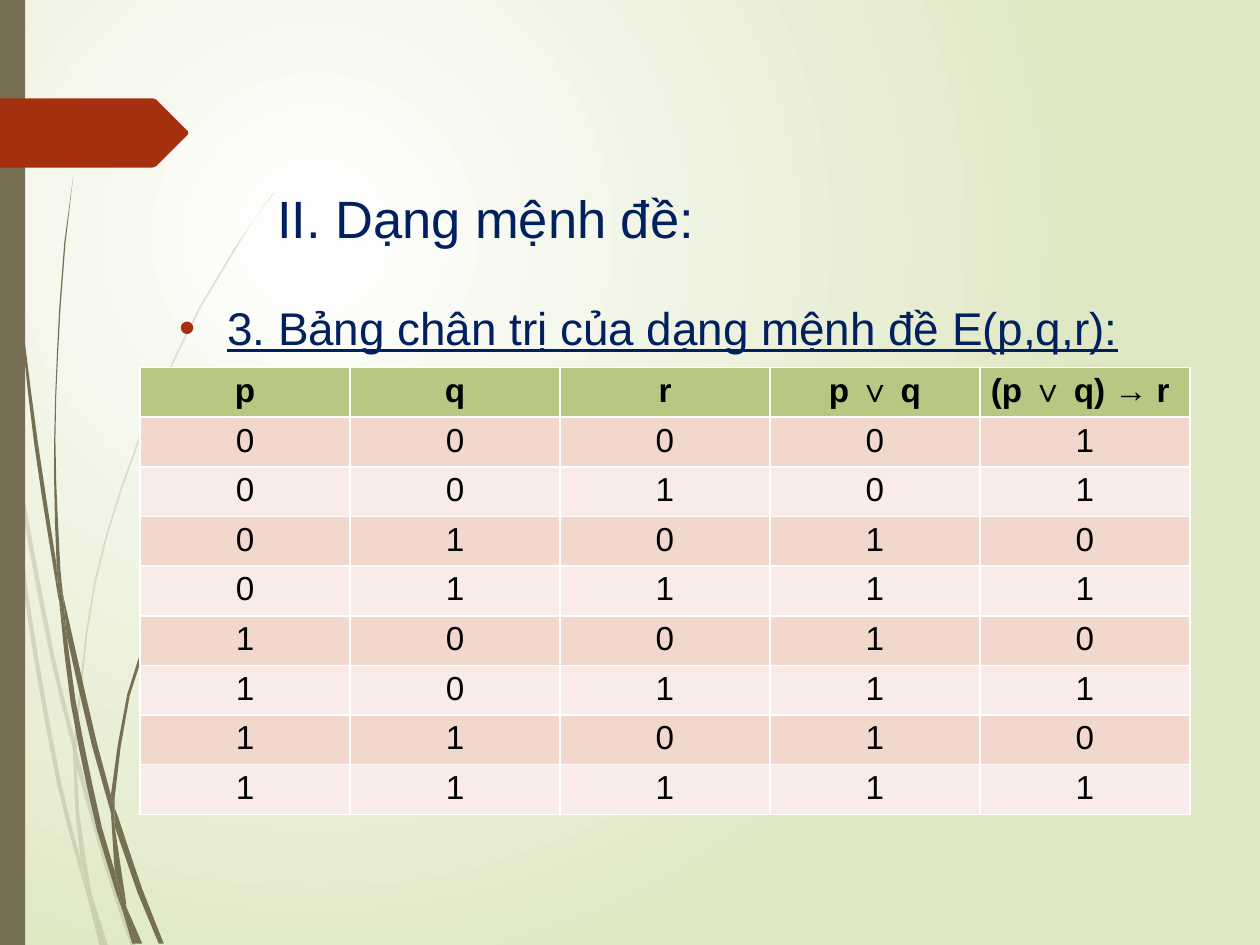
from dataclasses import dataclass
from itertools import product
from math import dist

from lxml.etree import SubElement
from pptx import Presentation
from pptx.dml.color import RGBColor as Rgb
from pptx.enum.text import MSO_ANCHOR as Anchor, PP_ALIGN as Align
from pptx.enum.shapes import MSO_SHAPE as Preset
from pptx.oxml.ns import qn
from pptx.util import Pt

Point = tuple[float, float]


@dataclass(frozen=True)
class Theme:
    font: str = "Arial"
    title_size: float = 30
    body_size: float = 26.2
    table_size: float = 19
    ink: str = "002060"
    black: str = "000000"
    white: str = "FFFFFF"
    background: str = "DFE8C4"
    stem: str = "766F54"
    accent: str = "A53010"
    header: str = "B6C882"
    bands: tuple[str, str] = ("F2D8CC", "F9ECE8")
    pale_alpha: int = 20


@dataclass(frozen=True)
class Box:
    left: float
    top: float
    width: float
    height: float

    def lengths(self) -> tuple:
        return Pt(self.left), Pt(self.top), Pt(self.width), Pt(self.height)


@dataclass(frozen=True)
class Blade:
    """A piece of grass: one edge there, the other edge back."""
    there: list[Point]
    back: list[Point]


THEME = Theme()
GRID = 0.72  # points per unit of the outline coordinates
STEP_LENGTH = 40  # outline units per straight piece of a curve
MOST_STEPS = 3

PALE_BLADES = [
    Blade([(8, 350), (6, 322), (0, 282)], [(0, 299), (7, 344)]),
    Blade([(12, 376), (40, 522), (59, 599)], [(59, 586), (43, 520), (10, 345)]),
    Blade([(61, 610), (85, 694), (104, 751)], [(108, 751), (88, 692), (64, 607), (61, 596)]),
    Blade([(73, 711), (83, 751)], [(86, 751)]),
    Blade([(8, 350), (19, 470), (45, 621), (64, 693), (70, 714)],
          [(69, 707), (64, 683), (48, 619), (22, 469), (12, 376)]),
    Blade([(58, 599), (60, 646), (64, 683), (67, 692), (73, 711)],
          [(72, 706), (63, 646), (61, 610), (61, 608)]),
    Blade([(61, 596), (61, 584), (76, 462), (111, 349), (159, 245), (187, 198), (201, 175), (217, 154)],
          [(217, 153), (201, 175), (186, 197), (158, 244), (110, 348), (75, 461), (59, 584), (59, 586)]),
    Blade([(70, 714), (79, 751)], [(82, 751)]),
    Blade([(58, 599), (61, 608), (61, 610)], [(61, 596), (59, 586)]),
    Blade([(65, 683), (69, 707), (70, 714), (82, 751)], [(83, 751), (73, 711), (67, 692)]),
]
DARK_BLADES = [
    Blade([(2, -4), (3, 44), (5, 106), (14, 229), (27, 351), (46, 473), (47, 477)],
          [(45, 453), (45, 449), (30, 351), (15, 228), (6, 105), (4, 44), (3, -4)]),
    Blade([(53, 505), (73, 592), (88, 645)], [(88, 633), (88, 631), (77, 590), (50, 472)]),
    Blade([(91, 656), (109, 708), (126, 749)], [(130, 749), (113, 706), (94, 649), (91, 641)]),
    Blade([(47, 477), (56, 557), (77, 659), (92, 708), (97, 722)],
          [(96, 717), (91, 691), (81, 657), (60, 556), (53, 505)]),
    Blade([(50, 472), (48, 453), (44, 349), (48, 245), (52, 193), (58, 141)],
          [(58, 141), (51, 193), (47, 245), (43, 349), (45, 449), (49, 472)]),
    Blade([(100, 719), (110, 749)], [(113, 749)]),
    Blade([(45, 449), (45, 453), (47, 477), (53, 505)], [(50, 472), (49, 472)]),
    Blade([(91, 641), (91, 633), (103, 552), (131, 476), (169, 406), (191, 374), (203, 359), (216, 344)],
          [(215, 344), (203, 358), (191, 373), (168, 405), (129, 474), (101, 551), (88, 631)]),
    Blade([(97, 722), (105, 749)], [(108, 749)]),
    Blade([(88, 645), (91, 691), (96, 706), (100, 719)], [(100, 716), (91, 656), (90, 651)]),
    Blade([(88, 631), (88, 633), (88, 645), (90, 651), (91, 656)], [(91, 641)]),
    Blade([(91, 691), (96, 717), (97, 722), (108, 749)], [(110, 749), (100, 719), (96, 706)]),
]
TAG_OUTLINE = [(0, 78), (121, 78), (124, 79), (149, 104), (149.5, 105.5),
               (149, 107), (124, 132), (121, 133), (0, 133)]


def smooth(points: list[Point]) -> list[Point]:
    """Sample a Hermite curve through the points, with tangents by chord length."""
    spans = [dist(a, b) for a, b in zip(points, points[1:])]
    tangents = []
    for i in range(len(points)):
        first, last = max(i - 1, 0), min(i + 1, len(points) - 1)
        length = sum(spans[first:last]) or 1
        tangents.append([(b - a) / length for a, b in zip(points[first], points[last])])
    curve = [points[0]]
    for i, span in enumerate(spans):
        steps = min(max(round(span / STEP_LENGTH), 1), MOST_STEPS)
        for step in range(1, steps + 1):
            t = step / steps
            end_weight = t * t * (3 - 2 * t)
            leave, arrive = span * t * (1 - t) ** 2, span * t * t * (t - 1)
            curve.append(tuple(
                (1 - end_weight) * points[i][axis] + end_weight * points[i + 1][axis]
                + leave * tangents[i][axis] + arrive * tangents[i + 1][axis]
                for axis in (0, 1)))
    return curve


def paint(shape, color: str, alpha: int = 100) -> None:
    shape.shadow.inherit = False
    shape.line.fill.background()
    shape.fill.solid()
    shape.fill.fore_color.rgb = Rgb.from_string(color)
    if alpha < 100:
        fill_color = shape.element.spPr.find(qn("a:solidFill"))[0]
        SubElement(fill_color, qn("a:alpha"), val=str(alpha * 1000))


def draw_outline(slide, outline: list[Point], color: str, alpha: int = 100) -> None:
    corners = [(Pt(x * GRID), Pt(y * GRID)) for x, y in outline]
    builder = slide.shapes.build_freeform(*corners[0])
    builder.add_line_segments(corners[1:], close=True)
    paint(builder.convert_to_shape(), color, alpha)


def add_run(paragraph, text: str, size: float, color: str, bold: bool = False):
    run = paragraph.add_run()
    run.text = text
    run.font.name, run.font.size, run.font.bold = THEME.font, Pt(size), bold
    run.font.color.rgb = Rgb.from_string(color)
    return run


def add_text(slide, box: Box, text: str, size: float, margins: tuple[float, float]):
    frame = slide.shapes.add_textbox(*box.lengths()).text_frame
    frame.word_wrap = True
    frame.vertical_anchor = Anchor.TOP
    frame.margin_left = frame.margin_right = Pt(margins[0])
    frame.margin_top = frame.margin_bottom = Pt(margins[1])
    paragraph = frame.paragraphs[0]
    return paragraph, add_run(paragraph, text, size, THEME.ink)


def add_bullet(paragraph, indent: float) -> None:
    properties = paragraph._p.get_or_add_pPr()
    properties.set("marL", str(Pt(indent)))
    properties.set("indent", str(-Pt(indent)))
    color = SubElement(properties, qn("a:buClr"))
    SubElement(color, qn("a:srgbClr"), val=THEME.accent)
    SubElement(properties, qn("a:buFont"), typeface=THEME.font)
    SubElement(properties, qn("a:buChar"), char="•")


def add_truth_table(slide, box: Box) -> None:
    """Fill the table by rule; its default style gives the white borders."""
    rows = [("p", "q", "r", "p ∨ q", "(p ∨ q) → r ")]
    for p, q, r in product((0, 1), repeat=3):
        rows.append((p, q, r, p | q, (1 - (p | q)) | r))
    table = slide.shapes.add_table(len(rows), len(rows[0]), *box.lengths()).table
    for i, values in enumerate(rows):
        table.rows[i].height = Pt(box.height / len(rows))
        for j, value in enumerate(values):
            cell = table.cell(i, j)
            cell.margin_left = cell.margin_right = Pt(5)
            cell.margin_top = cell.margin_bottom = Pt(2.8)
            cell.fill.solid()
            color = THEME.bands[(i - 1) % 2] if i else THEME.header
            cell.fill.fore_color.rgb = Rgb.from_string(color)
            paragraph = cell.text_frame.paragraphs[0]
            paragraph.alignment = Align.CENTER
            add_run(paragraph, str(value), THEME.table_size, THEME.black, bold=i == 0)


def set_background(slide) -> None:
    """Radial gradient, white at a quarter of the width and height."""
    fill = slide.background.fill
    fill.gradient()
    for stop, color in zip(fill.gradient_stops, (THEME.white, THEME.background)):
        stop.color.rgb = Rgb.from_string(color)
    gradient = slide.element.find(".//" + qn("a:gradFill"))
    gradient.remove(gradient.find(qn("a:lin")))
    circle = SubElement(gradient, qn("a:path"), path="circle")
    SubElement(circle, qn("a:fillToRect"), l="50000", t="50000", r="100000", b="100000")


def main() -> None:
    presentation = Presentation()
    presentation.slide_width, presentation.slide_height = Pt(720), Pt(540)
    slide = presentation.slides.add_slide(presentation.slide_layouts[6])
    set_background(slide)
    for blades, alpha in ((PALE_BLADES, THEME.pale_alpha), (DARK_BLADES, 100)):
        for blade in blades:
            draw_outline(slide, smooth(blade.there) + smooth(blade.back), THEME.stem, alpha)
    paint(slide.shapes.add_shape(Preset.RECTANGLE, *Box(0, 0, 14.4, 540).lengths()), THEME.stem)
    draw_outline(slide, TAG_OUTLINE, THEME.accent)
    add_text(slide, Box(153.36, 103.68, 526.32, 75.6), "II. Dạng mệnh đề:",
             THEME.title_size, (5, 2.8))
    paragraph, run = add_text(slide, Box(95.76, 167.76, 583.2, 282.24),
                              "3. Bảng chân trị của dạng mệnh đề E(p,q,r):",
                              THEME.body_size, (7.2, 3.6))
    run.font.underline = True
    paragraph.space_after = Pt(6)
    add_bullet(paragraph, 27)
    add_truth_table(slide, Box(80, 210, 600, 253.44))
    presentation.save("out.pptx")


if __name__ == "__main__":
    main()
